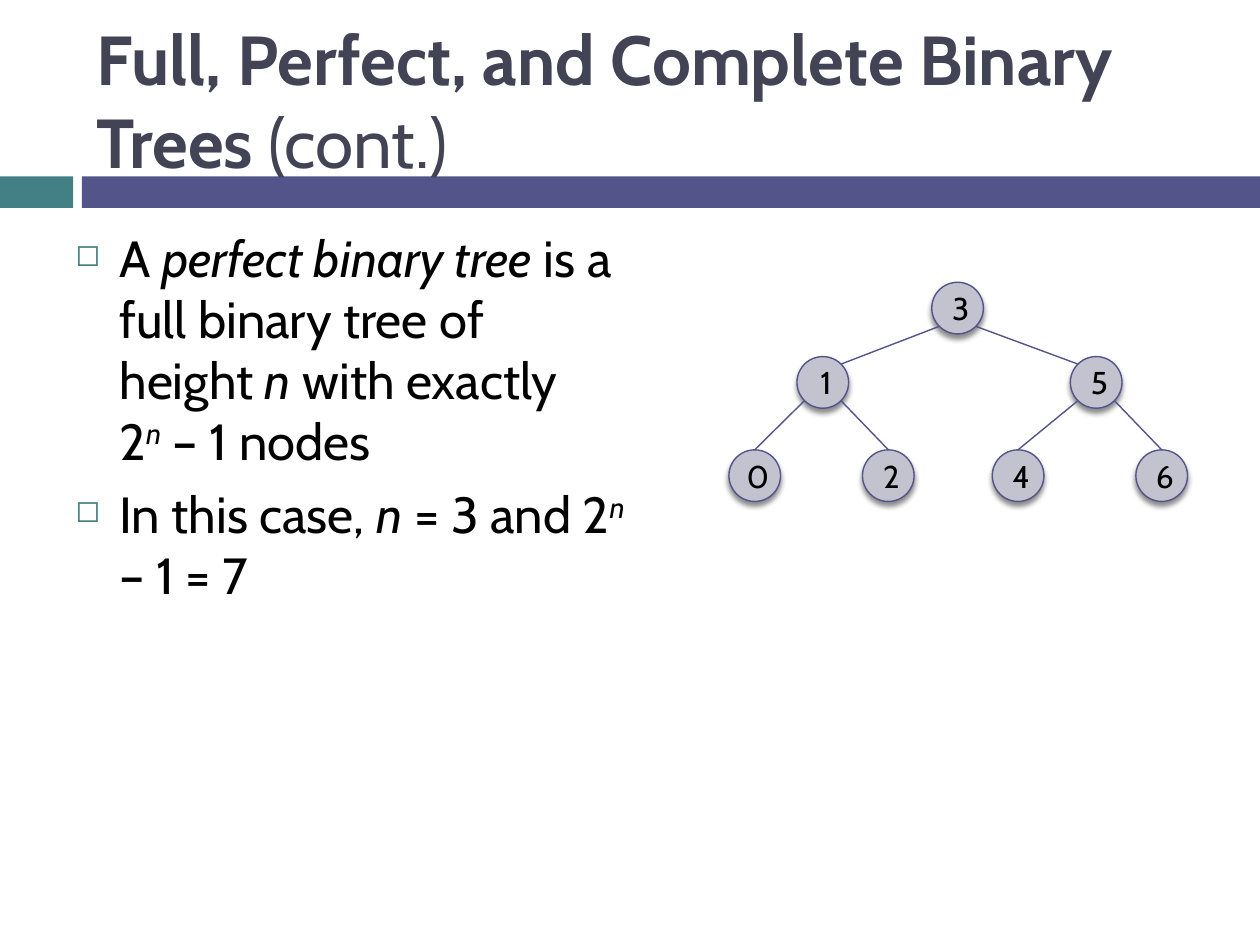
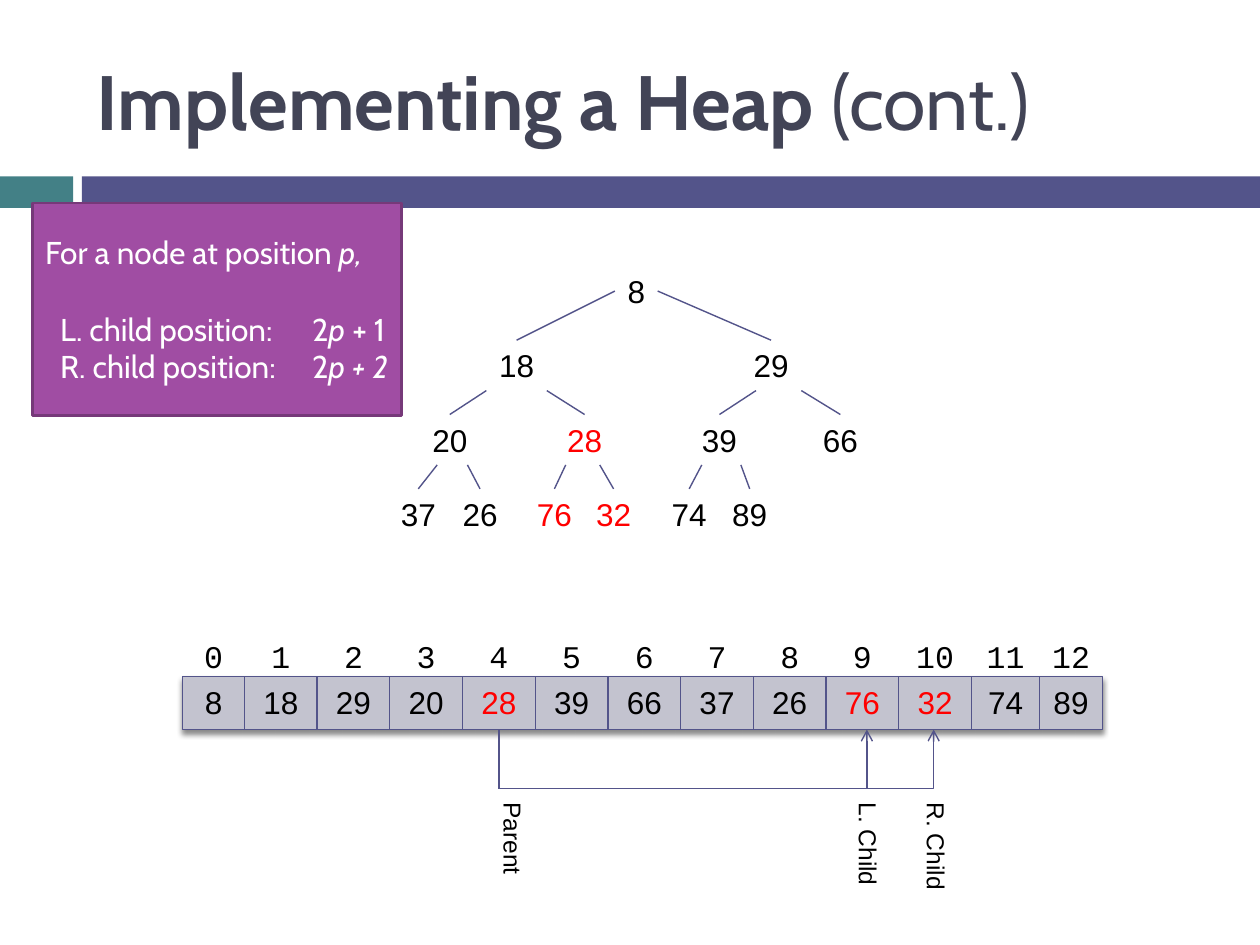
from lxml import etree
from pptx import Presentation
from pptx.dml.color import RGBColor
from pptx.enum.shapes import MSO_CONNECTOR, MSO_SHAPE
from pptx.enum.text import MSO_ANCHOR, MSO_AUTO_SIZE, PP_ALIGN
from pptx.oxml.ns import qn
from pptx.util import Inches, Pt

RECT, OVAL = MSO_SHAPE.RECTANGLE, MSO_SHAPE.OVAL
LINE, ELBOW = MSO_CONNECTOR.STRAIGHT, MSO_CONNECTOR.ELBOW
MIDDLE, CENTER = MSO_ANCHOR.MIDDLE, PP_ALIGN.CENTER
FIT = MSO_AUTO_SIZE.SHAPE_TO_FIT_TEXT
TOP, LEFT, RIGHT = 0, 1, 3

# The slide is a grid of square cells, 10 columns by 7.5 rows
CELL = Inches(1)
COLS, ROWS = 10, 7.5

TEAL, INDIGO, SLATE, GREY = "438086", "53548A", "424456", "C3C3CF"
PURPLE, PLUM = "A04DA3", "763979"
BLACK, WHITE, RED = "000000", "FFFFFF", "FF0000"
SANS, PLAIN, MONO = "Cabin", "Arial", "Courier New"
THIN = 0.79

# Perfect tree, in level order
KEYS = [3, 1, 5, 0, 2, 4, 6]
KEY_MIDS = [7.6, 6.53, 8.7, 5.99, 7.05, 8.08, 9.22]
KEY_TOPS = [2.24, 2.83, 3.57]
DISC = 0.41

# Heap, in level order, which is also its array order
HEAP = [8, 18, 29, 20, 28, 39, 66, 37, 26, 76, 32, 74, 89]
HEAP_MIDS = [5.05, 4.1, 6.12, 3.57, 4.64, 5.71, 6.67,
             3.32, 3.81, 4.4, 4.87, 5.47, 5.95]
HEAP_TOP, HEAP_STEP = 2.11, 0.59
FORKS = {1: (-0.24, 0.24), 2: (-0.12, 0.24), 3: (-0.1, 0.14),
         4: (-0.15, 0.12), 5: (-0.14, 0.17)}
MARKED = {4, 9, 10}
LABEL_W, LABEL_H = 0.48, 0.4

# Array strip
BAR_TOP, BAR_H = 5.37, 0.42
EDGES = [1.45] + [1.94 + 5.77 * k / 10 for k in range(11)] + [8.25, 8.75]


def grid(*cells):
    return [round(n * CELL) for n in cells]


def rgb(code):
    return RGBColor.from_string(code)


def add_xml(parent, tag, **attrs):
    return etree.SubElement(parent, qn(tag), attrs)


def level(i):
    return (i + 1).bit_length() - 1


def write(para, runs, font, size, color):
    """Fill a paragraph from (text, style) runs; b bold, i italic, s raised."""
    para.font.name, para.font.size = font, Pt(size)
    para.font.color.rgb = rgb(color)
    for text, style in runs:
        if text == "\n":
            para.add_line_break()
            continue
        run = para.add_run()
        run.text = text
        if "b" in style:
            run.font.bold = True
        if "i" in style:
            run.font.italic = True
        if "s" in style:
            run.font._element.set("baseline", "30000")


def text_box(slide, x, y, w, h):
    frame = slide.shapes.add_textbox(*grid(x, y, w, h)).text_frame
    frame.word_wrap = True
    return frame


def label(slide, mid, y, text, font=PLAIN, color=BLACK):
    shape = slide.shapes.add_textbox(
        *grid(mid - LABEL_W / 2, y, LABEL_W, LABEL_H))
    frame = shape.text_frame
    frame.word_wrap = True
    frame.margin_left = frame.margin_right = 0
    para = frame.paragraphs[0]
    para.alignment = CENTER
    write(para, [(str(text), "")], font, 18, color)
    return shape


def side_label(slide, x, h, text):
    frame = text_box(slide, x, 6.27, 0.44, h)
    frame.word_wrap = False
    frame.auto_size = FIT
    frame._txBody.bodyPr.set("vert", "vert")
    write(frame.paragraphs[0], [(text, "")], PLAIN, 14, BLACK)


def block(slide, kind, x, y, w, h, fill, line=None, width=THIN):
    shape = slide.shapes.add_shape(kind, *grid(x, y, w, h))
    shape.shadow.inherit = False
    shape.fill.solid()
    shape.fill.fore_color.rgb = rgb(fill)
    if line:
        shape.line.color.rgb = rgb(line)
        shape.line.width = Pt(width)
    else:
        shape.line.fill.background()
    return shape


def cast(shape):
    """Drop a soft shadow straight down."""
    effects = shape._element.spPr.find(qn("a:effectLst"))
    shadow = add_xml(effects, "a:outerShdw", blurRad=str(Pt(3)),
                     dist=str(Pt(2.4)), dir="5400000", rotWithShape="0")
    tint = add_xml(shadow, "a:srgbClr", val=BLACK)
    add_xml(tint, "a:alpha", val="45000")


def link(slide, x1, y1, x2, y2, kind=LINE, arrow=False):
    line = slide.shapes.add_connector(kind, *grid(x1, y1, x2, y2))
    line.line.color.rgb = rgb(INDIGO)
    line.line.width = Pt(THIN)
    if arrow:
        add_xml(line.line._get_or_add_ln(), "a:tailEnd", type="arrow")
    add_xml(line._element.spPr, "a:effectLst")
    return line


def base(deck, title, size):
    """Add a slide with the two bands and its title."""
    slide = deck.slides.add_slide(deck.slide_layouts[6])
    block(slide, RECT, 0, 1.4, 0.58, 0.25, TEAL)
    block(slide, RECT, 0.65, 1.4, COLS - 0.65, 0.25, INDIGO)
    frame = text_box(slide, 0.67, 0.25, 8.92, 1.08)
    frame.vertical_anchor = MIDDLE
    write(frame.paragraphs[0], [(title + " ", "b"), ("(cont.)", "")],
          SANS, size, SLATE)
    return slide


def bullet(para, runs):
    props = para._p.get_or_add_pPr()
    props.set("marL", str(Inches(0.35)))
    props.set("indent", str(-Inches(0.35)))
    tint = add_xml(props, "a:buClr")
    add_xml(tint, "a:srgbClr", val=TEAL)
    add_xml(props, "a:buSzPct", val="60000")
    add_xml(props, "a:buChar", char="◻")
    para.space_before = Pt(7)
    write(para, runs, SANS, 29, BLACK)


def disc_tree(slide):
    discs = []
    for i, (key, mid) in enumerate(zip(KEYS, KEY_MIDS)):
        disc = block(slide, OVAL, mid - DISC / 2, KEY_TOPS[level(i)],
                     DISC, DISC, GREY, INDIGO)
        cast(disc)
        frame = disc.text_frame
        frame.margin_left = Inches(0.05)
        frame.margin_right = frame.margin_top = frame.margin_bottom = 0
        frame.vertical_anchor = MIDDLE
        para = frame.paragraphs[0]
        para.alignment = CENTER
        write(para, [(str(key), "")], SANS, 18, BLACK)
        discs.append(disc)
    # Edges leave and enter on the diagonals; leaves are met at the top
    half, diag = DISC / 2, DISC / 2 * 0.71
    for i in range(1, len(KEYS)):
        up = (i - 1) // 2
        side = -1 if i % 2 else 1
        line = link(slide, KEY_MIDS[up] + side * diag,
                    KEY_TOPS[level(up)] + half + diag,
                    KEY_MIDS[i] - side * diag,
                    KEY_TOPS[level(i)] + half - diag)
        if level(i) == 2:
            line.end_connect(discs[i], TOP)


def heap_tree(slide):
    nodes = [label(slide, mid, HEAP_TOP + HEAP_STEP * level(i), HEAP[i],
                   color=RED if i in MARKED else BLACK)
             for i, mid in enumerate(HEAP_MIDS)]
    nodes[0].left, nodes[0].width = grid(HEAP_MIDS[0] - 0.17, 0.34)
    for i in range(1, len(HEAP)):
        up, right = (i - 1) // 2, i % 2 == 0
        x = HEAP_MIDS[up] + (FORKS[up][right] if up else 0)
        y = HEAP_TOP + HEAP_STEP * level(up) + LABEL_H
        line = link(slide, x, y, HEAP_MIDS[i], y)
        if up == 0:
            line.begin_connect(nodes[0], RIGHT if right else LEFT)
        line.end_connect(nodes[i], TOP)


def heap_array(slide):
    cast(block(slide, RECT, EDGES[0], BAR_TOP, EDGES[-1] - EDGES[0], BAR_H,
               GREY, INDIGO))
    for x in EDGES[1:-1]:
        link(slide, x, BAR_TOP, x, BAR_TOP + BAR_H)
    for i, value in enumerate(HEAP):
        mid = (EDGES[i] + EDGES[i + 1]) / 2
        label(slide, mid, 5.01, i, MONO)
        label(slide, mid, BAR_TOP, value, color=RED if i in MARKED else BLACK)


def pointers(slide):
    foot, low = BAR_TOP + BAR_H, 6.26
    bend = link(slide, 3.96, low, 7.41, foot, ELBOW, arrow=True)
    bend._element.spPr.find(qn("a:prstGeom")).set("prst", "bentConnector2")
    link(slide, 6.88, low, 6.88, foot, arrow=True)
    link(slide, 3.96, foot, 3.96, low)
    side_label(slide, 3.8, 0.68, "Parent")
    side_label(slide, 6.62, 0.77, "L. Child")
    side_label(slide, 7.16, 0.8, "R. Child")


def rule_box(slide):
    box = block(slide, RECT, 0.26, 1.61, 2.93, 1.69, PURPLE, PLUM, 1.5)
    frame = box.text_frame
    frame.word_wrap = True
    frame.vertical_anchor = MIDDLE
    lines = [
        [("For a node at position ", ""), ("p,", "i")],
        [("L. child position:\t2", ""), ("p ", "i"), ("+ 1", "")],
        [("R. child position:\t2", ""), ("p + 2", "i")],
    ]
    for n, runs in enumerate(lines):
        para = frame.add_paragraph() if n else frame.paragraphs[0]
        para.alignment = PP_ALIGN.LEFT
        if n:
            props = para._p.get_or_add_pPr()
            props.set("marL", str(Inches(0.12)))
            props.set("indent", "0")
            tabs = add_xml(props, "a:tabLst")
            add_xml(tabs, "a:tab", pos=str(Inches(1.95)), algn="l")
        if n == 1:
            para.space_before = Pt(22)
        write(para, runs, SANS, 18, WHITE)


def main():
    deck = Presentation()
    deck.slide_width, deck.slide_height = grid(COLS, ROWS)

    # Perfect binary tree
    slide = base(deck, "Full, Perfect, and Complete Binary Trees", 39.6)
    frame = text_box(slide, 0.5, 1.75, 4.58, 4.95)
    bullet(frame.paragraphs[0], [
        ("A ", ""), ("perfect binary tree ", "i"),
        ("is a full binary tree of height ", ""), ("n", "i"),
        (" with exactly ", ""), ("\n", ""), ("2", ""), ("n", "is"),
        (" – 1 nodes", "")])
    bullet(frame.add_paragraph(), [
        ("In this case, ", ""), ("n", "i"), (" = 3 and 2", ""),
        ("n", "is"), (" – 1 = 7", "")])
    disc_tree(slide)

    # Heap as tree and array
    slide = base(deck, "Implementing a Heap", 44)
    heap_array(slide)
    heap_tree(slide)
    pointers(slide)
    rule_box(slide)

    deck.save("out.pptx")


if __name__ == "__main__":
    main()
